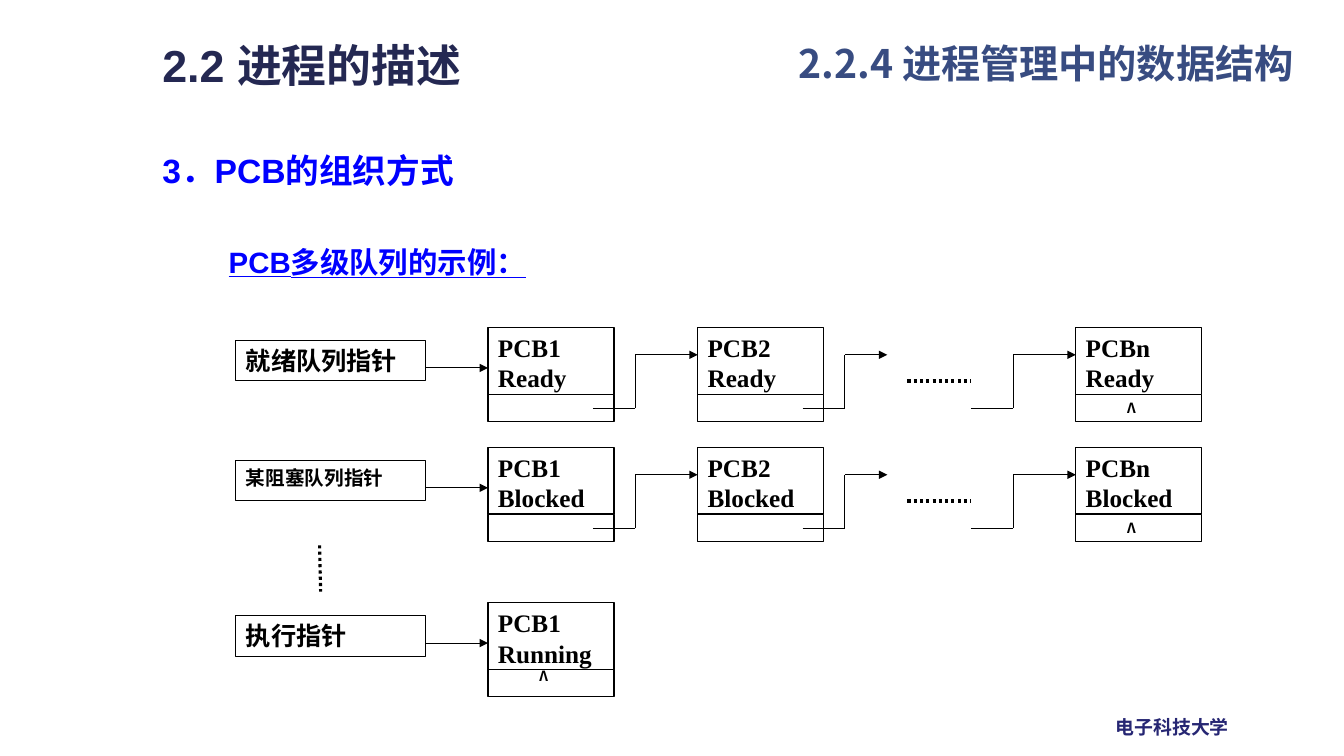
from lxml import etree
from pptx import Presentation, util as u
from pptx.dml.color import RGBColor
from pptx.enum import dml, shapes, text
from pptx.oxml import ns

# Content
TITLE = "2.2 进程的描述"
SECTION = "2.2.4 进程管理中的数据结构"
HEADING = "3．PCB的组织方式"
EXAMPLE = "PCB多级队列的示例："
SCHOOL = "电子科技大学"
END_MARK = "Λ"
QUEUES = [  # top, pointer name, name size, state, blocks, end mark shift
    (325, "就绪队列指针", 18, "Ready", ["PCB1", "PCB2", "PCBn"], 0),
    (444, "某阻塞队列指针", 14, "Blocked", ["PCB1", "PCB2", "PCBn"], 0),
    (598, "执行指针", 18, "Running", ["PCB1"], -7),
]

# Geometry in px, 100 to the inch
PX = 9144
BLOCK_LEFTS = [484, 692, 1067]
BLOCK_WIDTH, BLOCK_HEIGHT, LINK_HEIGHT = 125, 66, 27
LINKS = [(588, 692), (796, 880), (963, 1067)]  # start, arrow tip
POINTER_LEFT, POINTER_WIDTH, POINTER_HEIGHT = 234, 188, 40
DOTS = (900, 963)

COLORS = {"black": "000000", "white": "FFFFFF", "blue": "0000FF",
          "title": "242852", "section": "384C81", "school": "262673"}
CJK, SANS, SERIF = "Noto Sans CJK SC", "Arial", "Times New Roman"
LEFT, JUSTIFY = text.PP_ALIGN.LEFT, text.PP_ALIGN.JUSTIFY


def color(name):
    return RGBColor.from_string(COLORS[name])


def place(shape, *rect):
    shape.left, shape.top, shape.width, shape.height = [v * PX for v in rect]


def write(shape, words, size=18, font=SERIF, ink="black", align=LEFT,
          anchor=text.MSO_ANCHOR.TOP, wrap=True, underline=None,
          before=0, spacing=1.0):
    frame = shape.text_frame
    frame.auto_size = text.MSO_AUTO_SIZE.NONE
    frame.word_wrap, frame.vertical_anchor = wrap, anchor
    para = frame.paragraphs[0]
    para.alignment, para.line_spacing = align, spacing
    para.space_before = u.Pt(before)
    span = para.add_run()
    span.text = words
    span.font.size, span.font.name = u.Pt(size), font
    span.font.bold, span.font.underline = True, underline
    span.font.color.rgb = color(ink)
    east = etree.SubElement(span.font._element, ns.qn("a:ea"))
    east.set("typeface", CJK)
    return para


def add_text(rect, words, **style):
    box = page.shapes.add_textbox(*[v * PX for v in rect])
    write(box, words, **style)


def add_box(rect, words=None, fill=None, **style):
    box = page.shapes.add_shape(shapes.MSO_SHAPE.RECTANGLE, *[v * PX for v in rect])
    box.shadow.inherit = False
    if fill:
        box.fill.solid()
        box.fill.fore_color.rgb = color(fill)
    else:
        box.fill.background()
    box.line.color.rgb, box.line.width = color("black"), u.Pt(0.75)
    if words:
        write(box, words, align=JUSTIFY, **style)


def add_line(*ends, arrow=False, dotted=False):
    line = page.shapes.add_connector(shapes.MSO_CONNECTOR.STRAIGHT, *[v * PX for v in ends])
    line.line.color.rgb = color("black")
    line.line.width = u.Pt(2.25 if dotted else 0.75)
    if dotted:
        line.line.dash_style = dml.MSO_LINE.ROUND_DOT
    if arrow:
        tip = etree.SubElement(line.line._get_or_add_ln(), ns.qn("a:tailEnd"))
        tip.set("type", "triangle")
    etree.SubElement(line._element.spPr, ns.qn("a:effectLst"))


deck = Presentation()
deck.slide_width, deck.slide_height = 1333 * PX, 750 * PX
page = deck.slides.add_slide(deck.slide_layouts[1])

# Headings
title, body = page.placeholders
place(title, 151, 32, 514, 66)
write(title, TITLE, size=32, font=SANS, ink="title")
place(body, 151, 136, 681, 65)
para = write(body, HEADING, size=24, font=SANS, ink="blue", anchor=text.MSO_ANCHOR.MIDDLE)
layout = para._p.get_or_add_pPr()
layout.set("marL", "0")
layout.set("indent", "0")
etree.SubElement(layout, ns.qn("a:buNone"))
add_text((782, 34, 551, 72), SECTION, size=28, font=CJK, ink="section")
add_text((217, 230, 337, 53), EXAMPLE, size=21, font=SANS, ink="blue",
         align=JUSTIFY, underline=True, before=13.5, spacing=1.2)
add_text((1097, 705, 134, 33), SCHOOL, size=13.5, font=CJK, ink="school", wrap=False)

# Queues
for top, name, size, state, blocks, shift in QUEUES:
    link_top = top + BLOCK_HEIGHT
    add_box((POINTER_LEFT, top + 13, POINTER_WIDTH, POINTER_HEIGHT), name,
            fill="white", size=size)
    add_line(POINTER_LEFT + POINTER_WIDTH, top + 40, BLOCK_LEFTS[0], top + 40, arrow=True)
    for left, block in zip(BLOCK_LEFTS, blocks):
        add_box((left, top, BLOCK_WIDTH, BLOCK_HEIGHT), f"{block} {state}")
        add_box((left, link_top, BLOCK_WIDTH, LINK_HEIGHT), fill="white")
    add_text((left + 41, link_top + shift, 62, 40), END_MARK, size=10, font=CJK, align=JUSTIFY)
    if len(blocks) > 1:
        for start, tip in LINKS:
            riser, low, high = start + 42, top + 80, top + 27
            add_line(start, low, riser, low)
            add_line(riser, low, riser, high)
            add_line(riser, high, tip, high, arrow=True)
        add_line(DOTS[0], top + 53, DOTS[1], top + 53, dotted=True)

# Further queues
add_line(317, 541, 318, 587, dotted=True)

deck.save("out.pptx")
